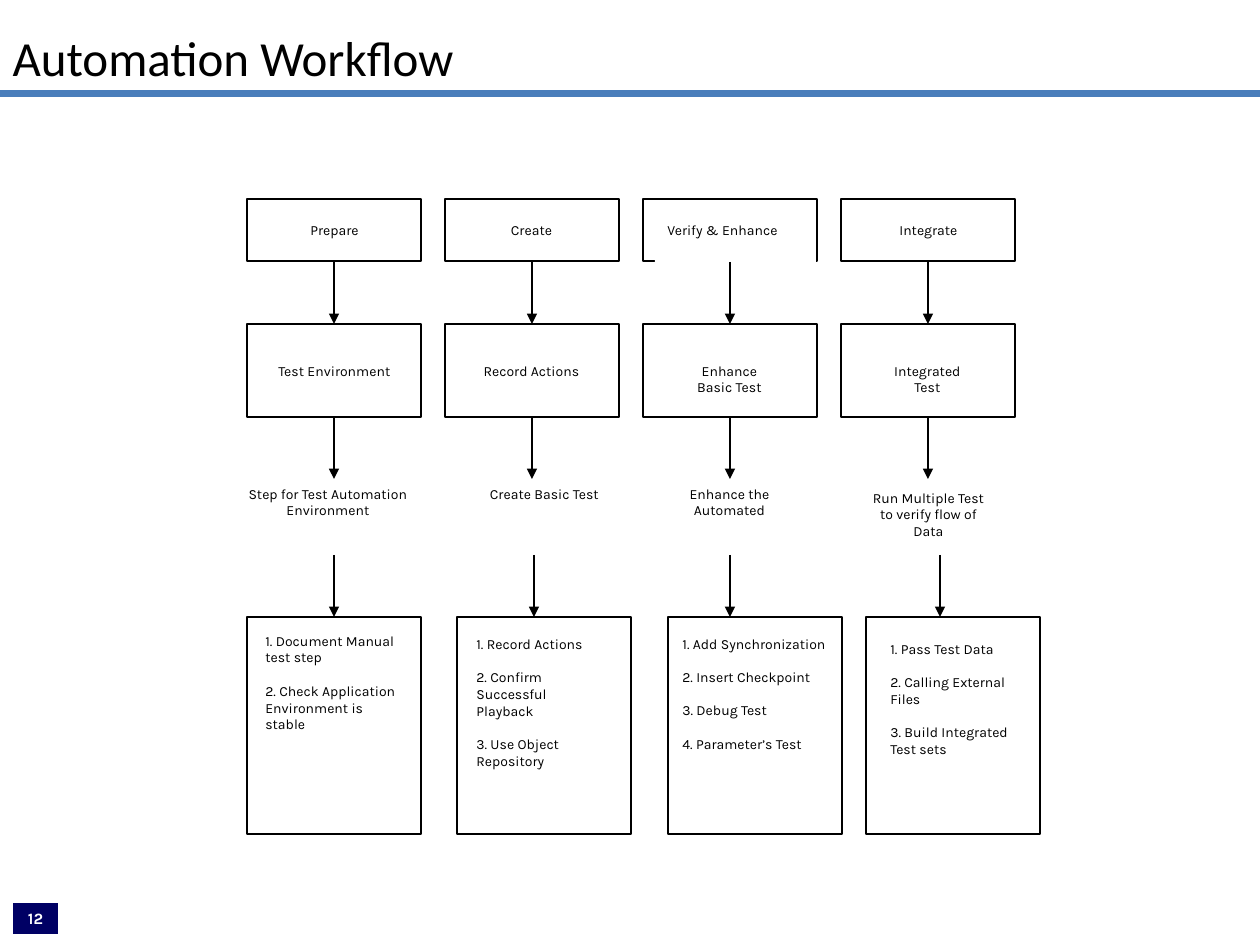
from dataclasses import dataclass

from lxml import etree
from pptx import Presentation
from pptx import util as u
from pptx.dml.color import RGBColor
from pptx.enum import shapes, text
from pptx.oxml.ns import qn

PX_PER_INCH = 126
BLACK, WHITE, NAVY, BLUE = "000000", "FFFFFF", "000064", "4A7EBB"
BODY_FONT = "Karla"
LEFT, CENTER = text.PP_ALIGN.LEFT, text.PP_ALIGN.CENTER

# Flowchart grid
COLUMN_LEFTS = [247 + 198 * i for i in range(4)]
LIST_LEFTS = [247, 457, 668, 866]
BOX_WIDTH = 174
COLUMN_CENTERS = [left + BOX_WIDTH // 2 for left in COLUMN_LEFTS]
LIST_ARROWS = [334, 534, 730, 940]
ARROW_LENGTH = 62


@dataclass
class BoxRow:
    lefts: list[int]
    top: int
    height: int


@dataclass
class ArrowRow:
    centers: list[int]
    top: int


@dataclass
class Label:
    left: int
    top: int
    width: int
    height: int
    lines: list[str]
    align: text.PP_ALIGN = CENTER
    gap: float = 0


BOX_ROWS = [
    BoxRow(COLUMN_LEFTS, 199, 62),
    BoxRow(COLUMN_LEFTS, 324, 93),
    BoxRow(LIST_LEFTS, 617, 217),
]
ARROW_ROWS = [
    ArrowRow(COLUMN_CENTERS, 262),
    ArrowRow(COLUMN_CENTERS, 417),
    ArrowRow(LIST_ARROWS, 555),
]
LIST_GAP = 9.5
LABELS = [
    # Phases
    Label(260, 215, 149, 31, ["Prepare"]),
    Label(457, 215, 149, 31, ["Create"]),
    Label(655, 215, 161, 47, ["Verify & Enhance"], LEFT),
    Label(854, 215, 149, 31, ["Integrate"]),
    # Results
    Label(260, 356, 149, 45, ["Test Environment"]),
    Label(457, 356, 149, 45, ["Record Actions"]),
    Label(668, 356, 123, 45, ["Enhance", "Basic Test"]),
    Label(866, 356, 123, 45, ["Integrated", "Test"]),
    # Descriptions
    Label(210, 479, 236, 62, ["Step for Test Automation Environment"]),
    Label(470, 479, 149, 62, ["Create Basic Test"]),
    Label(655, 479, 149, 62, ["Enhance the Automated"]),
    Label(854, 483, 149, 73, ["Run Multiple Test to verify flow of Data"]),
    # Step lists
    Label(253, 626, 161, 202, ["1. Document Manual test step",
                               "2. Check Application Environment is stable"],
          LEFT, LIST_GAP),
    Label(464, 629, 149, 202, ["1. Record Actions",
                               "2. Confirm Successful Playback",
                               "3. Use Object Repository"], LEFT, LIST_GAP),
    Label(670, 629, 171, 202, ["1. Add Synchronization",
                               "2. Insert Checkpoint",
                               "3. Debug Test",
                               "4. Parameter’s Test"], LEFT, LIST_GAP),
    Label(878, 634, 149, 170, ["1. Pass Test Data",
                               "2. Calling External Files",
                               "3. Build Integrated Test sets"], LEFT, LIST_GAP),
]


def px(length: int) -> u.Emu:
    return u.Emu(round(length * 914400 / PX_PER_INCH))


def color(value: str) -> RGBColor:
    return RGBColor.from_string(value)


def add_span(para, words: str, size: float, font: str = BODY_FONT,
             tint: str = BLACK, bold: bool = False) -> None:
    span = para.add_run()
    span.text = words
    span.font.name = font
    span.font.size = u.Pt(size)
    span.font.bold = bold
    span.font.color.rgb = color(tint)


def add_box(page, left: int, top: int, width: int, height: int,
            fill: str = WHITE, line: str | None = None):
    box = page.shapes.add_shape(shapes.MSO_SHAPE.RECTANGLE,
                                px(left), px(top), px(width), px(height))
    box.shadow.inherit = False
    box.fill.solid()
    box.fill.fore_color.rgb = color(fill)
    if line:
        box.line.color.rgb = color(line)
        box.line.width = u.Pt(0.75)
    else:
        box.line.fill.background()
    return box


def add_label(page, label: Label) -> None:
    box = add_box(page, label.left, label.top, label.width, label.height)
    frame = box.text_frame
    frame.word_wrap = True
    frame.vertical_anchor = text.MSO_ANCHOR.TOP
    for index, words in enumerate(label.lines):
        para = frame.add_paragraph() if index else frame.paragraphs[0]
        para.alignment = label.align
        if index and label.gap:
            para.space_before = u.Pt(label.gap)
        add_span(para, words, 8)


def add_line(page, start: tuple[int, int], end: tuple[int, int],
             tint: str, width: float, arrow: bool = False) -> None:
    line = page.shapes.add_connector(shapes.MSO_CONNECTOR.STRAIGHT,
                                     *map(px, start + end))
    line.line.color.rgb = color(tint)
    line.line.width = u.Pt(width)
    if arrow:
        etree.SubElement(line.line._get_or_add_ln(), qn("a:tailEnd"), type="triangle")
    etree.SubElement(line._element.spPr, qn("a:effectLst"))


def add_title(page, words: str) -> None:
    title = page.shapes.title
    title.left, title.top, title.width, title.height = map(px, (0, 21, 1260, 72))
    frame = title.text_frame
    frame.vertical_anchor = text.MSO_ANCHOR.TOP
    frame.auto_size = text.MSO_AUTO_SIZE.NONE
    para = frame.paragraphs[0]
    para.alignment = LEFT
    add_span(para, words, 28, "Calibri")


def add_page_number(page, number: str) -> None:
    box = add_box(page, 12, 902, 47, 33, NAVY, WHITE)
    box.text_frame.vertical_anchor = text.MSO_ANCHOR.MIDDLE
    para = box.text_frame.paragraphs[0]
    para.alignment = CENTER
    add_span(para, number, 9, tint=WHITE, bold=True)


def main() -> None:
    deck = Presentation()
    deck.slide_width, deck.slide_height = px(1260), px(945)
    page = deck.slides.add_slide(deck.slide_layouts[5])

    # Page frame
    add_page_number(page, "12")
    add_line(page, (0, 94), (1260, 94), BLUE, 4)
    add_title(page, "Automation Workflow")

    # Flowchart
    for row in BOX_ROWS:
        for left in row.lefts:
            add_box(page, left, row.top, BOX_WIDTH, row.height, line=BLACK)
    for label in LABELS:
        add_label(page, label)
    for row in ARROW_ROWS:
        for x in row.centers:
            add_line(page, (x, row.top), (x, row.top + ARROW_LENGTH),
                     BLACK, 0.75, arrow=True)

    deck.save("out.pptx")


if __name__ == "__main__":
    main()
